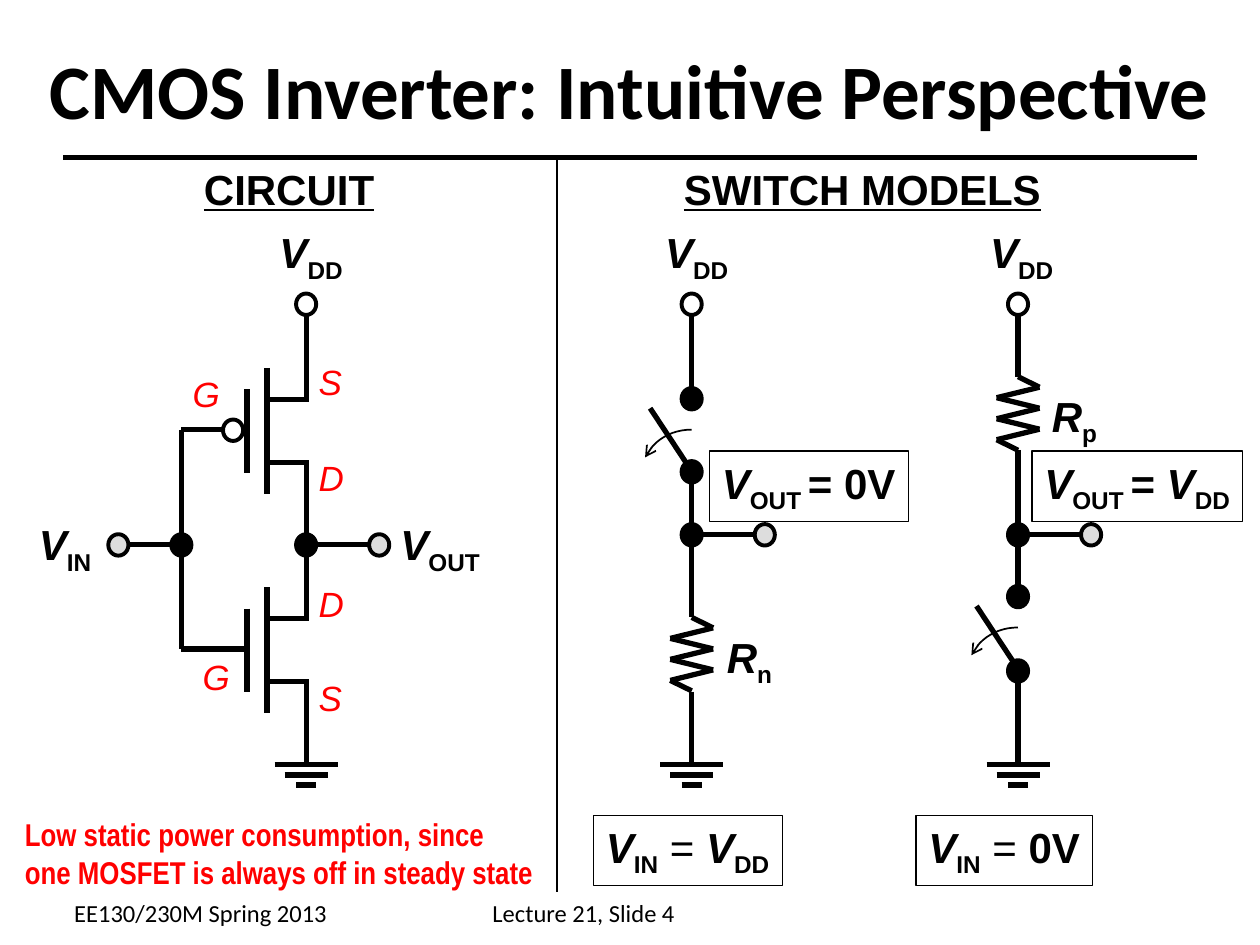
from lxml import etree
from pptx import Presentation
from pptx.dml.color import RGBColor
from pptx.enum.shapes import MSO_CONNECTOR, MSO_SHAPE
from pptx.enum.text import MSO_ANCHOR, MSO_AUTO_SIZE, PP_ALIGN
from pptx.oxml.ns import qn
from pptx.util import Inches, Pt

LINE, OVAL = MSO_CONNECTOR.STRAIGHT, MSO_SHAPE.OVAL
MIDDLE, CENTER = MSO_ANCHOR.MIDDLE, PP_ALIGN.CENTER
GROW = MSO_AUTO_SIZE.SHAPE_TO_FIT_TEXT
BLACK = RGBColor(0, 0, 0)
WHITE = RGBColor(255, 255, 255)
RED = RGBColor(255, 0, 0)
GRAY = RGBColor(0xDD, 0xDD, 0xDD)

prs = Presentation()
prs.slide_width, prs.slide_height = Inches(10), Inches(7.5)
slide = prs.slides.add_slide(prs.slide_layouts[5])
shapes = slide.shapes


def label(box, *lines, size=24, font="Arial", color=BLACK, frame=False):
    """Each line lists (text, marks); marks: b bold, i italic, u underline, s subscript."""
    item = shapes.add_textbox(*[Inches(n) for n in box])
    if frame:
        item.line.color.rgb = BLACK
        item.line.width = Pt(0.75)
    body = item.text_frame
    body.word_wrap = False
    body.auto_size = GROW
    for n, line in enumerate(lines):
        para = body.add_paragraph() if n else body.paragraphs[0]
        for text, marks in line:
            run = para.add_run()
            run.text = text
            run.font.size, run.font.name = Pt(size), font
            run.font.color.rgb = color
            run.font.bold = "b" in marks
            run.font.italic = "i" in marks
            run.font.underline = "u" in marks
            if "s" in marks:
                run._r.get_or_add_rPr().set("baseline", "-25000")


def wire(*points, width=3):
    """Join the points, in inches, with straight lines."""
    for (x1, y1), (x2, y2) in zip(points, points[1:]):
        part = shapes.add_connector(LINE, Inches(x1), Inches(y1), Inches(x2), Inches(y2))
        part.line.color.rgb = BLACK
        part.line.width = Pt(width)
        etree.SubElement(part._element.spPr, qn("a:effectLst"))


# Title
title = shapes.title
title.left, title.top = Inches(0), Inches(0.08)
title.width, title.height = Inches(10), Inches(1.25)
title.text_frame.text = "CMOS Inverter: Intuitive Perspective"
title.text_frame.vertical_anchor = MIDDLE
para = title.text_frame.paragraphs[0]
para.alignment = CENTER
para.font.size, para.font.name, para.font.bold = Pt(44), "Calibri", True
para.font.color.rgb = BLACK

# Rules
wire((0.5, 1.25), (9.5, 1.25))
wire((4.42, 1.25), (4.42, 7.08), width=0.75)

# Columns: circuit, switch model with low output, switch model with high output
CIRC, LOW, HIGH = 2.43, 5.49, 8.08

# Circuit wiring
for mid in (3.42, 5.16):
    wire((1.96, mid - 0.33), (1.96, mid + 0.33))
    wire((2.12, mid - 0.5), (2.12, mid + 0.5))
    for y in (mid - 0.25, mid + 0.25):
        wire((2.12, y), (2.45, y))
wire((CIRC, 2.49), (CIRC, 3.17))
wire((CIRC, 3.67), (CIRC, 4.24), (CIRC, 4.91))
wire((CIRC, 5.41), (CIRC, 6.07))
wire((1.77, 3.41), (1.44, 3.41), (1.44, 5.15), (1.94, 5.15))
wire((1.02, 4.32), (1.44, 4.32))
wire((CIRC, 4.32), (2.93, 4.32))

# Switch model wiring
wire((LOW, 2.49), (LOW, 3.16))
wire((LOW, 3.74), (LOW, 4.57), (LOW, 4.9))
wire((LOW, 5.49), (LOW, 5.82), (LOW, 6.06))
wire((HIGH, 2.49), (HIGH, 2.66), (HIGH, 2.99))
wire((HIGH, 3.57), (HIGH, 3.91))
wire((HIGH, 3.82), (HIGH, 4.65))
wire((HIGH, 5.4), (HIGH, 6.07))
for x in (LOW, HIGH):
    wire((x, 4.24), (x + 0.5, 4.24))

# Resistors
SWING = (0, 0.17, -0.17, 0.17, -0.17, 0.17, -0.17, 0)
for x, top in ((LOW, 4.9), (HIGH, 2.99)):
    wire(*[(x + dx, top + n / 12) for n, dx in enumerate(SWING)])

# Switch blades, each with a curved arrow
for x, top in ((LOW, 3.16), (HIGH, 4.73)):
    wire((x - 0.33, top + 0.08), (x, top + 0.58))
    curve = []
    for n in range(13):
        t = n / 12
        u = 1 - t
        dx = 3 * u * u * t * 0.16 + 3 * u * t * t * 0.3 + t ** 3 * 0.37
        dy = 3 * u * t * t * 0.08 + t ** 3 * 0.22
        curve.append((Inches(x - dx), Inches(top + 0.25 + dy)))
    pen = shapes.build_freeform(*curve[0])
    pen.add_line_segments(curve[1:], close=False)
    arc = pen.convert_to_shape()
    arc.shadow.inherit = False
    arc.fill.background()
    arc.line.color.rgb = BLACK
    arc.line.width = Pt(1)
    etree.SubElement(arc.line._get_or_add_ln(), qn("a:tailEnd"), type="arrow")

# Grounds
for x in (CIRC, LOW, HIGH):
    for y, half in ((6.07, 0.25), (6.15, 0.17), (6.23, 0.08)):
        wire((x - half, y), (x + half, y))

# Terminals, nodes and contacts, by centre
DOTS = (
    (None, ((CIRC, 2.41), (LOW, 2.41), (HIGH, 2.41))),
    (WHITE, ((1.85, 3.41),)),
    (GRAY, ((0.94, 4.32), (3.01, 4.32), (6.07, 4.24), (8.66, 4.24))),
    (BLACK, ((1.44, 4.32), (CIRC, 4.32), (LOW, 4.24), (HIGH, 4.24),
             (LOW, 3.16), (LOW, 3.74), (HIGH, 4.73), (HIGH, 5.32))),
)
for fill, spots in DOTS:
    for x, y in spots:
        dot = shapes.add_shape(OVAL, Inches(x - 0.08), Inches(y - 0.08),
                               Inches(0.16), Inches(0.17))
        dot.shadow.inherit = False
        if fill is None:
            dot.fill.background()
        else:
            dot.fill.solid()
            dot.fill.fore_color.rgb = fill
        dot.line.color.rgb = BLACK
        dot.line.width = Pt(2.25)

# Headings
label((1.52, 1.25, 1.55, 0.5), [("CIRCUIT", "bu")])
label((5.33, 1.25, 3.03, 0.5), [("SWITCH MODELS", "bu")])

# Names of voltages and resistors
for left, top, wide, name, sub in (
    (2.12, 1.75, 0.7, "V", "DD"), (5.18, 1.75, 0.7, "V", "DD"),
    (7.76, 1.75, 0.7, "V", "DD"), (0.21, 4.07, 0.62, "V", "IN"),
    (3.08, 4.07, 0.83, "V", "OUT"), (5.67, 4.96, 0.56, "R", "n"),
    (8.25, 3.05, 0.56, "R", "p"),
):
    label((left, top, wide, 0.56), [(name, "bi"), (sub, "bs")])

# Framed equations
VDD = [("V", "bi"), ("DD", "bs")]
VIN = [("V", "bi"), ("IN", "bs"), (" = ", "")]
VOUT = [("V", "bi"), ("OUT ", "bs")]
for left, top, wide, line in (
    (5.63, 3.58, 1.58, VOUT + [("= 0V", "b")]),
    (8.19, 3.58, 1.67, VOUT + [("= ", "b")] + VDD),
    (4.71, 6.47, 1.5, VIN + VDD),
    (7.27, 6.47, 1.4, VIN + [("0V", "b")]),
):
    label((left, top, wide, 0.56), line, frame=True)

# Transistor pins
for left, top, wide, pin in (
    (2.43, 2.81, 0.38, "S"), (2.43, 3.57, 0.4, "D"), (1.43, 2.91, 0.41, "G"),
    (1.51, 5.15, 0.41, "G"), (2.43, 4.57, 0.4, "D"), (2.43, 5.32, 0.38, "S"),
):
    label((left, top, wide, 0.44), [(pin, "i")], size=20, color=RED)

# Remark and footer
label((0.1, 6.42, 4.23, 0.7), [("Low static power consumption, since", "b")],
      [("one MOSFET is always off in steady state", "b")],
      size=18, font="Arial Narrow", color=RED)
label((0.49, 7.08, 2.21, 0.34), [("EE130/230M Spring 2013", "")], size=14, font="Calibri")
label((3.81, 7.08, 1.65, 0.34), [("Lecture 21, Slide 4", "")], size=14, font="Calibri")

prs.save("out.pptx")
